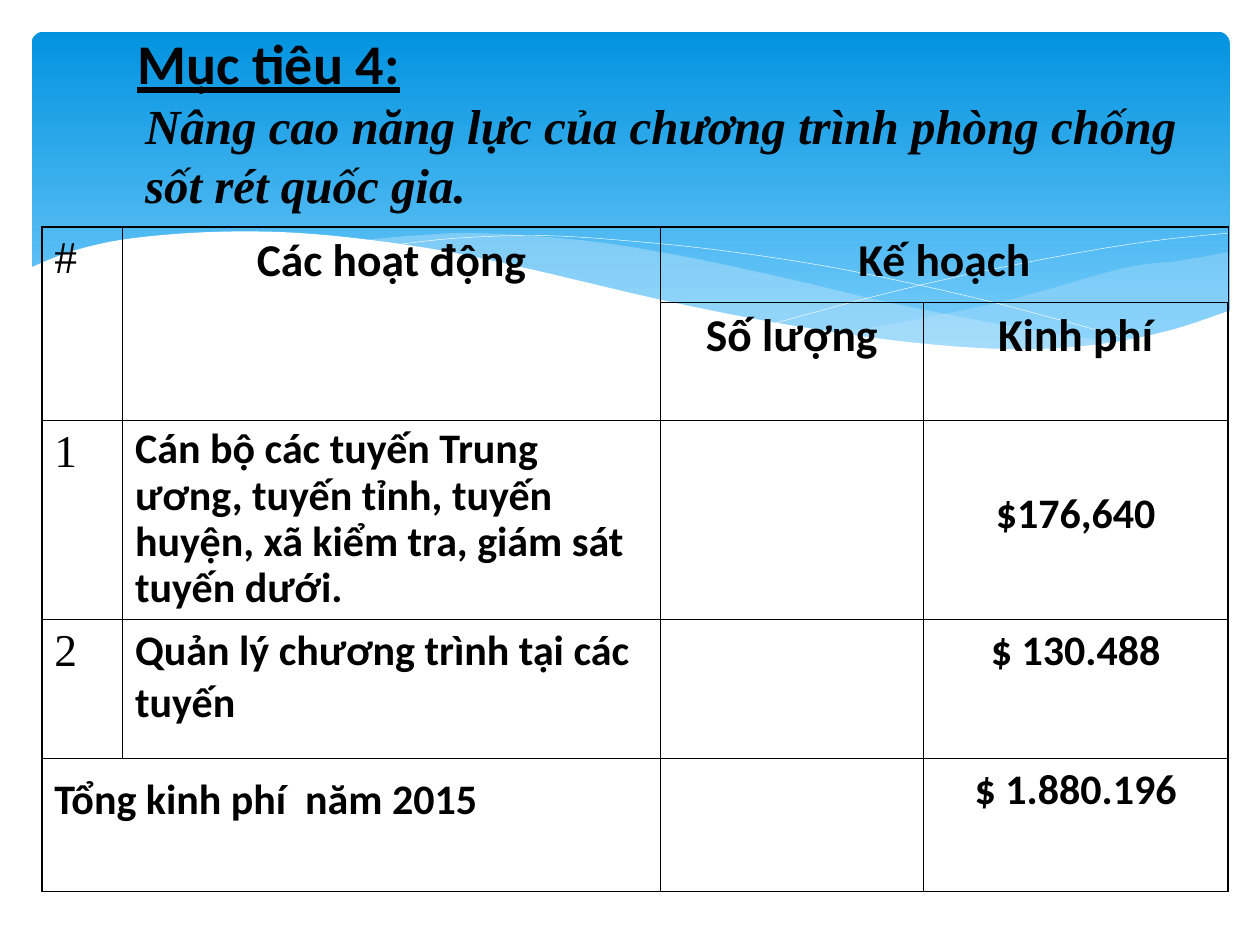
from lxml import etree
from pptx import Presentation
from pptx.dml.color import RGBColor
from pptx.enum.shapes import MSO_SHAPE as SHAPE
from pptx.enum.text import MSO_ANCHOR as ANCHOR, MSO_AUTO_SIZE as AUTO, PP_ALIGN as ALIGN
from pptx.oxml.ns import qn
from pptx.util import Cm, Pt

BLACK = RGBColor(0x00, 0x00, 0x00)
WHITE = RGBColor(0xFF, 0xFF, 0xFF)
DEEP_BLUE = RGBColor(0x02, 0x93, 0xE0)
SKY_BLUE = RGBColor(0x83, 0xD3, 0xFE)
PALE_BLUE = RGBColor(0xC6, 0xE7, 0xFC)

# Anchor points of the waves, in cm
WAVE = [(24.82, 6.25), (23.62, 6.65), (22.23, 6.93), (20.55, 7.04), (18.44, 6.91),
        (15.9, 6.55), (13.44, 6.07), (10.62, 5.41), (8.61, 5), (6.35, 4.72),
        (4.47, 4.67), (2.69, 4.8), (1.5, 5.05), (0.58, 5.41)]
WAVE_BASE = [(0.58, 8.36), (24.82, 8.36)]
RIGHT_TOP = [(24.79, 5.08), (23.75, 5.26), (22.63, 5.41), (20.45, 6.02),
             (18.52, 6.43), (16.79, 6.73)]
RIGHT_BOTTOM = [(16.79, 6.73), (18.59, 6.96), (20.4, 7.06), (22.15, 6.96),
                (23.57, 6.68), (24.79, 6.27)]
MIDDLE_TOP = [(22.68, 6.93), (20.5, 6.6), (17.93, 6.1), (15.98, 5.64), (13.74, 5.16),
              (11.79, 4.85), (9.65, 4.7), (8.33, 4.75), (7.26, 4.85)]
MIDDLE_BOTTOM = [(7.26, 4.85), (9.19, 5.16), (11.4, 5.64), (13.46, 6.1), (15.7, 6.55),
                 (17.65, 6.86), (19.33, 7.04), (20.78, 7.09), (22.68, 6.93)]
FALLING_LINE = [(7.85, 4.95), (9.22, 4.8), (11, 4.75), (12.95, 4.88), (14.78, 5.08),
                (16.89, 5.41), (19.3, 5.92), (21.11, 6.38), (23.04, 6.91)]
RISING_LINE = [(15.57, 6.53), (17.65, 5.97), (19.71, 5.49), (22, 5.05),
               (23.47, 4.83), (24.77, 4.7)]

COLUMNS = [1.63, 10.85, 5.29, 6.15]
ROWS = [1.52, 2.39, 4.01, 2.79, 2.69]
MERGES = [(0, 0, 1, 0), (0, 1, 1, 1), (0, 2, 0, 3), (4, 0, 4, 1)]
CELLS = {
    (0, 0): "#", (0, 1): "Các hoạt động", (0, 2): "Kế hoạch",
    (1, 2): "Số lượng", (1, 3): "Kinh phí",
    (2, 0): "1",
    (2, 1): "Cán bộ các tuyến Trung ương, tuyến tỉnh, tuyến huyện, "
            "xã kiểm tra, giám sát tuyến dưới.",
    (2, 3): "$176,640",
    (3, 0): "2", (3, 1): "Quản lý chương trình tại các tuyến", (3, 3): "$ 130.488",
    (4, 0): "Tổng kinh phí  năm 2015", (4, 3): "$ 1.880.196",
}
LINE_SPACING = {(2, 1): 0.9, (4, 0): 1.2}
THIN, THICK = 0.45, 1.08


def curve(anchors, steps=6):
    """Points of a smooth (Catmull-Rom) curve through the anchors."""
    ends = [anchors[0], *anchors, anchors[-1]]
    points = [anchors[0]]
    for a, b, c, d in zip(ends, ends[1:], ends[2:], ends[3:]):
        for i in range(1, steps + 1):
            t = i / steps
            points.append(tuple(
                (2 * q + (r - p) * t + (2 * p - 5 * q + 4 * r - s) * t ** 2
                 + (3 * q - p - 3 * r + s) * t ** 3) / 2
                for p, q, r, s in zip(a, b, c, d)))
    return points


class Deck:
    heading_font, serif_font = "Calibri", "Times New Roman"

    def __init__(self):
        self.prs = Presentation()
        self.prs.slide_width, self.prs.slide_height = Cm(25.4), Cm(19.05)
        self.slide = self.prs.slides.add_slide(self.prs.slide_layouts[5])

    def style(self, p, size, font, bold=True, italic=False, underline=False):
        for r in p.runs:
            f = r.font
            f.size, f.name, f.color.rgb = Pt(size), font, BLACK
            f.bold, f.italic, f.underline = bold, italic, underline

    def panel(self, x, y, w, h):
        sp = self.slide.shapes.add_shape(SHAPE.ROUNDED_RECTANGLE,
                                         Cm(x), Cm(y), Cm(w), Cm(h))
        sp.adjustments[0] = 0.034
        sp.shadow.inherit = False
        sp.line.fill.background()
        sp.fill.gradient()
        sp.fill.gradient_angle = 270
        for stop, color in zip(sp.fill.gradient_stops, (DEEP_BLUE, SKY_BLUE)):
            stop.color.rgb = color

    def outline(self, points, fill=None, alpha=100):
        """A filled outline, or an open white line when there is no fill."""
        (x, y), *rest = [(Cm(px), Cm(py)) for px, py in points]
        builder = self.slide.shapes.build_freeform(x, y)
        builder.add_line_segments(rest, close=fill is not None)
        sp = builder.convert_to_shape()
        sp.shadow.inherit = False
        if fill is None:
            sp.fill.background()
            sp.line.color.rgb, sp.line.width = WHITE, Pt(0.25)
            return
        sp.line.fill.background()
        sp.fill.solid()
        sp.fill.fore_color.rgb = fill
        if alpha < 100:
            color = sp.element.spPr.find(f"{qn('a:solidFill')}/{qn('a:srgbClr')}")
            etree.SubElement(color, qn("a:alpha"), val=str(alpha * 1000))

    def title(self, heading, subject):
        sp = self.slide.shapes.title
        sp.left, sp.top, sp.width, sp.height = Cm(2.11), Cm(1.7), Cm(22.22), Cm(1.47)
        sp.element.getparent().append(sp.element)  # in front of the panel
        tf = sp.text_frame
        tf.text = f"{heading}\n{subject}"
        tf.word_wrap, tf.auto_size = True, AUTO.NONE
        tf.vertical_anchor = ANCHOR.MIDDLE
        for p, indent in zip(tf.paragraphs, (0.4, 0.56)):
            p.alignment = ALIGN.LEFT
            p._p.get_or_add_pPr().set("marL", str(Cm(indent)))
        self.style(tf.paragraphs[0], 32, self.heading_font, underline=True)
        self.style(tf.paragraphs[1], 28, self.serif_font, italic=True)

    def borders(self, cell, widths):
        tc_pr = cell._tc.get_or_add_tcPr()
        for i, (side, width) in enumerate(zip("LRTB", widths)):
            ln = etree.Element(qn(f"a:ln{side}"), w=str(Pt(width)))
            fill = etree.SubElement(ln, qn("a:solidFill"))
            etree.SubElement(fill, qn("a:srgbClr"), val=str(BLACK))
            tc_pr.insert(i, ln)

    def table(self, x, y):
        frame = self.slide.shapes.add_table(len(ROWS), len(COLUMNS), Cm(x), Cm(y),
                                            Cm(sum(COLUMNS)), Cm(sum(ROWS)))
        table = frame.table
        table.first_row = table.horz_banding = False
        for column, width in zip(table.columns, COLUMNS):
            column.width = Cm(width)
        for row, height in zip(table.rows, ROWS):
            row.height = Cm(height)
        for r1, c1, r2, c2 in MERGES:
            table.cell(r1, c1).merge(table.cell(r2, c2))
        last = len(COLUMNS) - 1
        for r in range(len(ROWS)):
            for c in range(len(COLUMNS)):
                cell = table.cell(r, c)
                cell.fill.background()
                self.borders(cell, (THICK if c == 0 else THIN, THICK if c == last else THIN,
                                    THICK if r == 0 else THIN, THIN))
        for (r, c), text in CELLS.items():
            cell = table.cell(r, c)
            cell.text_frame.text = text
            p = cell.text_frame.paragraphs[0]
            p.line_spacing = LINE_SPACING.get((r, c))
            p.alignment = ALIGN.CENTER if c > 1 or (r, c) == (0, 1) else ALIGN.LEFT
            numbering = c == 0 and r < 4
            self.style(p, 26 if r < 2 or numbering else 24,
                       self.serif_font if numbering else self.heading_font,
                       bold=not numbering)
        table.cell(2, 3).margin_top = Cm(1.37)


def main():
    deck = Deck()

    # Blue panel with waves
    deck.panel(0.64, 0.64, 24.15, 6.86)
    deck.outline(curve(RIGHT_TOP) + curve(RIGHT_BOTTOM), PALE_BLUE, 29)
    deck.outline(curve(MIDDLE_TOP) + curve(MIDDLE_BOTTOM), PALE_BLUE, 40)
    deck.outline(curve(FALLING_LINE))
    deck.outline(curve(RISING_LINE))
    deck.outline(curve(WAVE) + WAVE_BASE, WHITE)

    # Plan and budget
    deck.table(0.84, 4.57)
    deck.title("Mục tiêu 4:",
               "Nâng cao năng lực của chương trình phòng chống sốt rét quốc gia.")

    deck.prs.save("out.pptx")


if __name__ == "__main__":
    main()
